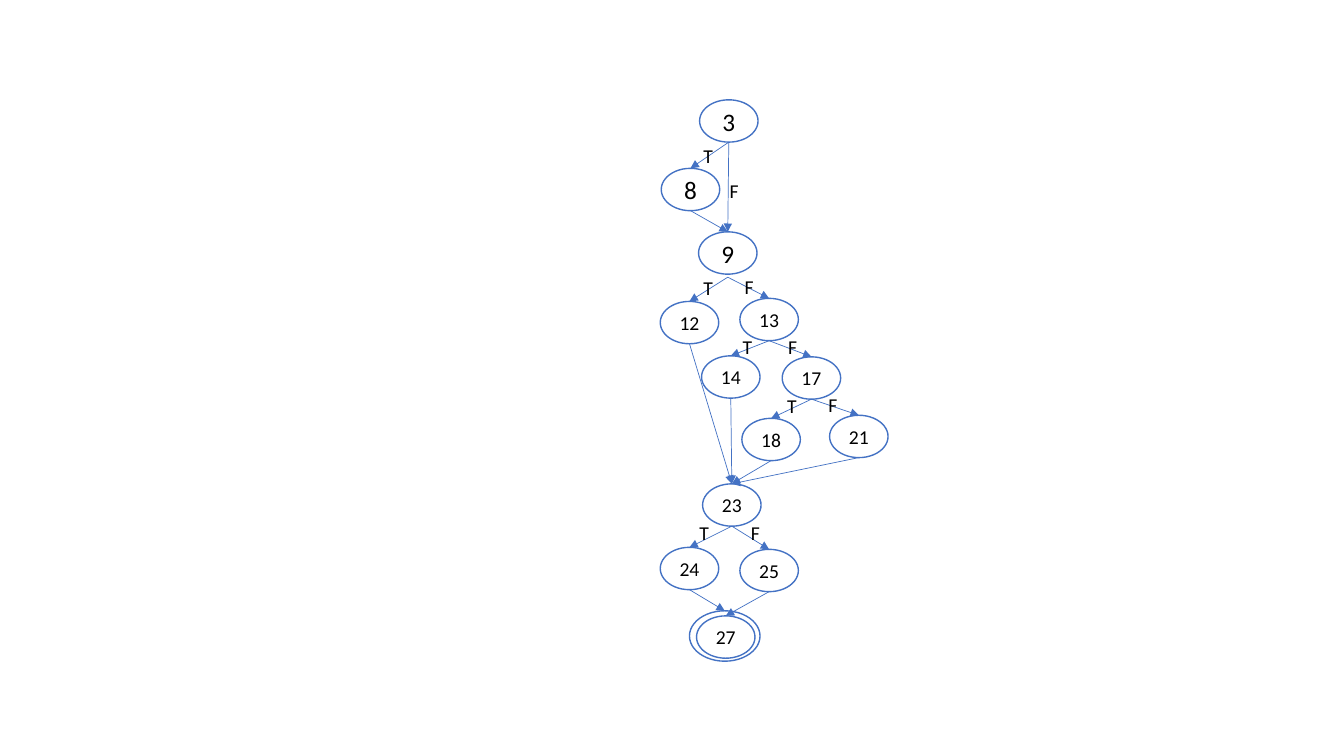
import pptx
import pptx.util
import pptx.oxml.ns
import pptx.oxml.xmlchemy
import pptx.dml.color
import pptx.enum.shapes
import pptx.enum.text
from dataclasses import dataclass

Pt = pptx.util.Pt
RGB = pptx.dml.color.RGBColor
qn = pptx.oxml.ns.qn
make = pptx.oxml.xmlchemy.OxmlElement


@dataclass(frozen=True)
class Theme:
    blue: RGB = RGB(0x44, 0x72, 0xC4)
    white: RGB = RGB(255, 255, 255)
    black: RGB = RGB(0, 0, 0)
    font: str = "Calibri"
    big: int = 18
    small: int = 14
    rim: float = 1
    thin: float = 0.5


THEME = Theme()

# Grid: ten columns and ten rows to the inch
WIDE, HIGH = 133.33, 75
OVAL = (5.8, 4.2)
RING = (7, 5)
LABEL = (3, 3.4)

# Node: centre column, centre row
NODES = {
    "3": (72.3, 12), "8": (68.5, 18.8), "9": (72.2, 25.1),
    "12": (68.4, 32), "13": (76.3, 31.7), "14": (72.5, 37.4),
    "17": (80.5, 37.5), "18": (76.5, 43.6), "21": (85.2, 43.3),
    "23": (72.6, 50.1), "24": (68.4, 56.4), "25": (76.3, 56.6),
    "27": (72, 63.2),
}
EXIT = (71.9, 63.1)
LARGE = {"3", "8", "9"}
GAPS = {"9": 0.3}  # space between a node and its outgoing arrows

EDGES = [
    ("3", "8"), ("8", "9"), ("3", "9"), ("9", "12"), ("9", "13"),
    ("13", "14"), ("13", "17"), ("17", "18"), ("17", "21"),
    ("12", "23"), ("14", "23"), ("18", "23"), ("21", "23"),
    ("23", "24"), ("23", "25"), ("24", "exit"), ("25", "27"),
]

# Branch label: text, left column, top row
LABELS = [
    ("T", 68.8, 13.8), ("F", 71.4, 17.3), ("T", 68.8, 26.9),
    ("F", 72.9, 26.8), ("T", 72.7, 32.7), ("F", 77.2, 32.7),
    ("T", 77.1, 38.6), ("F", 81.2, 38.5), ("T", 68.4, 51.2),
    ("F", 73.5, 51.2),
]


def grid(*cells):
    return [pptx.util.Inches(cell / 10) for cell in cells]


def style(item, **form):
    for name, value in form.items():
        setattr(item, name, value)


def write(shape, text, size, align, anchor):
    frame = shape.text_frame
    style(frame, word_wrap=False, vertical_anchor=anchor)
    para = frame.paragraphs[0]
    para.alignment = align
    run = para.add_run()
    run.text = text
    style(run.font, name=THEME.font, size=Pt(size))
    run.font.color.rgb = THEME.black


def add_oval(slide, centre, size, text=""):
    (x, y), (w, h) = centre, size
    oval = slide.shapes.add_shape(
        pptx.enum.shapes.MSO_SHAPE.OVAL, *grid(x - w / 2, y - h / 2, w, h))
    oval.shadow.inherit = False
    oval.fill.solid()
    oval.fill.fore_color.rgb = THEME.white
    oval.line.color.rgb = THEME.blue
    oval.line.width = Pt(THEME.rim)
    if text:
        write(oval, text, THEME.big if text in LARGE else THEME.small,
              pptx.enum.text.PP_ALIGN.CENTER,
              pptx.enum.text.MSO_ANCHOR.MIDDLE)
    return oval


def add_edge(slide, start, end, gap):
    # From the foot of one oval to the head of the next
    foot = start.top + start.height + grid(gap)[0]
    edge = slide.shapes.add_connector(
        pptx.enum.shapes.MSO_CONNECTOR.STRAIGHT,
        start.left + start.width // 2, foot,
        end.left + end.width // 2, end.top)
    edge.end_connect(end, 0)
    edge.line.color.rgb = THEME.blue
    edge.line.width = Pt(THEME.thin)
    props = edge._element.spPr
    head = make("a:tailEnd")
    head.set("type", "triangle")
    props.find(qn("a:ln")).append(head)
    props.append(make("a:effectLst"))


def add_label(slide, text, x, y):
    box = slide.shapes.add_textbox(*grid(x, y, *LABEL))
    write(box, text, THEME.small, pptx.enum.text.PP_ALIGN.LEFT,
          pptx.enum.text.MSO_ANCHOR.TOP)
    box.text_frame.auto_size = pptx.enum.text.MSO_AUTO_SIZE.SHAPE_TO_FIT_TEXT


def main():
    deck = pptx.Presentation()
    wide, high = grid(WIDE, HIGH)
    style(deck, slide_width=wide, slide_height=high)
    slide = deck.slides.add_slide(deck.slide_layouts[6])

    # Nodes, with an outer ring around the exit
    ovals = {"exit": add_oval(slide, EXIT, RING)}
    for name, centre in NODES.items():
        ovals[name] = add_oval(slide, centre, OVAL, name)

    # Arrows
    for start, end in EDGES:
        add_edge(slide, ovals[start], ovals[end], GAPS.get(start, 0))

    # Branch labels
    for label in LABELS:
        add_label(slide, *label)

    deck.save("out.pptx")


if __name__ == "__main__":
    main()
